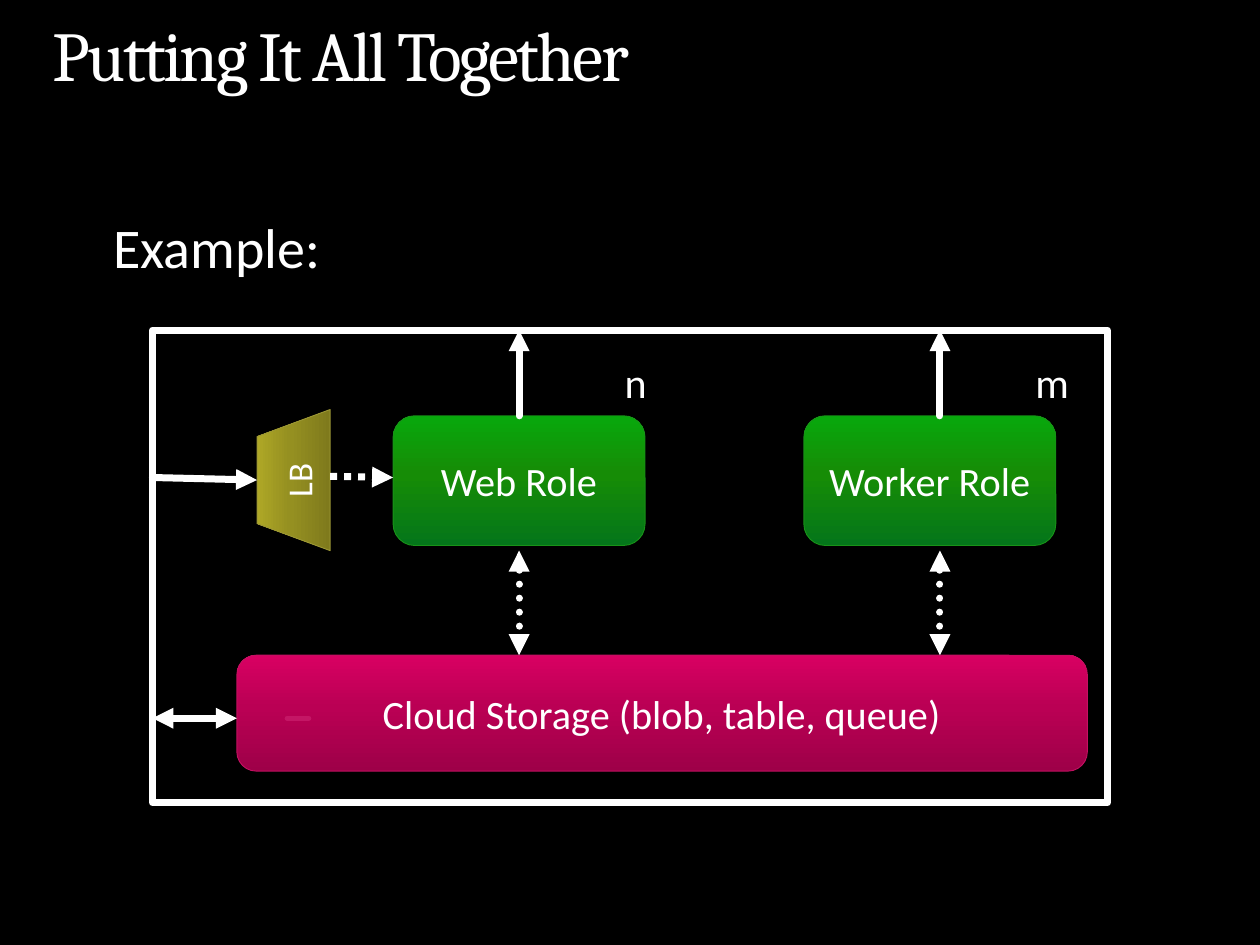
from dataclasses import dataclass
from typing import Optional

from pptx import Presentation
from pptx.dml.color import RGBColor
from pptx.enum.dml import MSO_LINE
from pptx.enum.shapes import MSO_CONNECTOR, MSO_SHAPE
from pptx.enum.text import MSO_ANCHOR, PP_ALIGN
from pptx.oxml import parse_xml
from pptx.oxml.ns import nsdecls, qn
from pptx.util import Inches, Pt

COLUMNS, ROWS = 100, 75
CELL = Inches(10) // COLUMNS
COLORS = {
    "back": "000000", "ink": "FFFFFF", "mark": "C41665",
    "storage edge": "C41162", "role edge": "199319", "balancer edge": "9C9735",
}
# Gradient colours from the bottom of a block to its top
GRADIENTS = {
    "storage": ("9E0048", "BA0054", "D80062"),
    "role": ("04761A", "168C06", "08A80C"),
    "balancer": ("7F7A1C", "959021", "AEA726"),
}
STOPS = (0, 55, 100)


@dataclass
class Block:
    label: str
    col: float
    row: float
    cols: float
    rows: float
    look: str
    size: int = 23
    preset: MSO_SHAPE = MSO_SHAPE.ROUNDED_RECTANGLE
    rotation: int = 0
    adjust: Optional[float] = None


@dataclass
class Link:
    start: tuple[float, float]
    end: tuple[float, float]
    head: bool = False
    tail: bool = False
    dotted: bool = False
    round_cap: bool = True
    color: str = "ink"
    weight: float = 4


@dataclass
class Caption:
    text: str
    col: float
    row: float
    cols: float
    rows: float
    size: int
    font: str = "Calibri"


def cells(*counts: float) -> list[int]:
    return [round(count * CELL) for count in counts]


def rgb(name: str) -> RGBColor:
    return RGBColor.from_string(COLORS[name])


def style_text(frame, size: int, font: str = "Calibri") -> None:
    for run in frame.paragraphs[0].runs:
        run.font.size = Pt(size)
        run.font.name = font
        run.font.color.rgb = rgb("ink")


def draw_block(slide, block: Block) -> None:
    shape = slide.shapes.add_shape(
        block.preset, *cells(block.col, block.row, block.cols, block.rows))
    shape.shadow.inherit = False
    shape.rotation = block.rotation
    if block.adjust is not None:
        shape.adjustments[0] = block.adjust
    shape.fill.gradient()
    shape.fill.gradient_angle = 90
    stops = next(shape.element.iter(qn("a:gsLst")))
    for old in list(stops):
        stops.remove(old)
    for percent, color in zip(STOPS, GRADIENTS[block.look]):
        stops.append(parse_xml(
            f'<a:gs {nsdecls("a")} pos="{percent * 1000}"><a:srgbClr val="{color}"/></a:gs>'))
    shape.line.color.rgb = rgb(f"{block.look} edge")
    shape.line.width = Pt(0.5)
    frame = shape.text_frame
    frame.text = block.label
    frame.word_wrap = True
    frame.vertical_anchor = MSO_ANCHOR.MIDDLE
    frame.paragraphs[0].alignment = PP_ALIGN.CENTER
    style_text(frame, block.size)


def draw_link(slide, link: Link) -> None:
    line = slide.shapes.add_connector(
        MSO_CONNECTOR.STRAIGHT, *cells(*link.start, *link.end))
    line.line.color.rgb = rgb(link.color)
    line.line.width = Pt(link.weight)
    if link.dotted:
        line.line.dash_style = MSO_LINE.ROUND_DOT
    outline = line.line._get_or_add_ln()
    if link.round_cap:
        outline.set("cap", "rnd")
    for end, shown in (("headEnd", link.head), ("tailEnd", link.tail)):
        if shown:
            outline.append(parse_xml(f'<a:{end} {nsdecls("a")} type="triangle"/>'))
    line.element.spPr.append(parse_xml(f'<a:effectLst {nsdecls("a")}/>'))


def draw_caption(slide, caption: Caption):
    box = slide.shapes.add_textbox(
        *cells(caption.col, caption.row, caption.cols, caption.rows))
    frame = box.text_frame
    frame.word_wrap = True
    frame.text = caption.text
    style_text(frame, caption.size, caption.font)
    return frame


def draw_boundary(slide, col: float, row: float, cols: float, rows: float) -> None:
    boundary = slide.shapes.add_shape(MSO_SHAPE.RECTANGLE, *cells(col, row, cols, rows))
    boundary.shadow.inherit = False
    boundary.fill.background()
    boundary.line.color.rgb = rgb("ink")
    boundary.line.width = Pt(4)
    boundary.line._get_or_add_ln().append(parse_xml(f'<a:round {nsdecls("a")}/>'))


def main() -> None:
    deck = Presentation()
    deck.slide_width, deck.slide_height = cells(COLUMNS, ROWS)
    slide = deck.slides.add_slide(deck.slide_layouts[6])
    slide.background.fill.solid()
    slide.background.fill.fore_color.rgb = rgb("back")

    title = draw_caption(slide, Caption(
        "Putting It All Together", 4.2, 1.7, 91.6, 10.3, 40, "Cambria"))
    title.margin_left = title.margin_right = title.margin_top = title.margin_bottom = 0
    title.paragraphs[0].line_spacing = 0.9
    title.paragraphs[0].runs[0].font._element.set("spc", "-150")

    example = draw_caption(slide, Caption("Example:", 8, 17.5, 87.9, 52.9, 32)).paragraphs[0]
    example.line_spacing = 0.78
    example.space_before, example.space_after = Pt(6.4), Pt(8)

    left, top, width, height = 12.1, 26.2, 75.8, 37.5
    storage = Block("Cloud Storage (blob, table, queue)", 18.8, 52, 67.5, 9.2, "storage")
    web = Block("Web Role", 31.2, 33, 20, 10.3, "role")
    worker = Block("Worker Role", 63.8, 33, 20, 10.3, "role")
    balancer = Block("LB", 17.7, 35.2, 11.2, 5.8, "balancer", 20,
                     MSO_SHAPE.TRAPEZOID, 270, 0.37)

    draw_block(slide, storage)
    draw_link(slide, Link((22.8, 57), (24.5, 57), color="mark", weight=3))
    for block in (web, balancer, worker):
        draw_block(slide, block)
    draw_link(slide, Link((26.2, 37.8), (web.col, 37.9), tail=True,
                          dotted=True, round_cap=False))
    draw_boundary(slide, left, top, width, height)

    for role, count, axis in ((web, "n", 41.2), (worker, "m", 74.6)):
        draw_caption(slide, Caption(count, role.col + 17.4, 27.8, 3.4, 5, 24))
        draw_link(slide, Link((axis, 43.7), (axis, storage.row), True, True, True))
        draw_link(slide, Link((axis, top), (axis, role.row), head=True))
    draw_link(slide, Link((storage.col, 57), (left, 57), True, True))
    draw_link(slide, Link((20.4, 38.1), (left, 37.9), head=True))

    deck.save("out.pptx")


if __name__ == "__main__":
    main()
